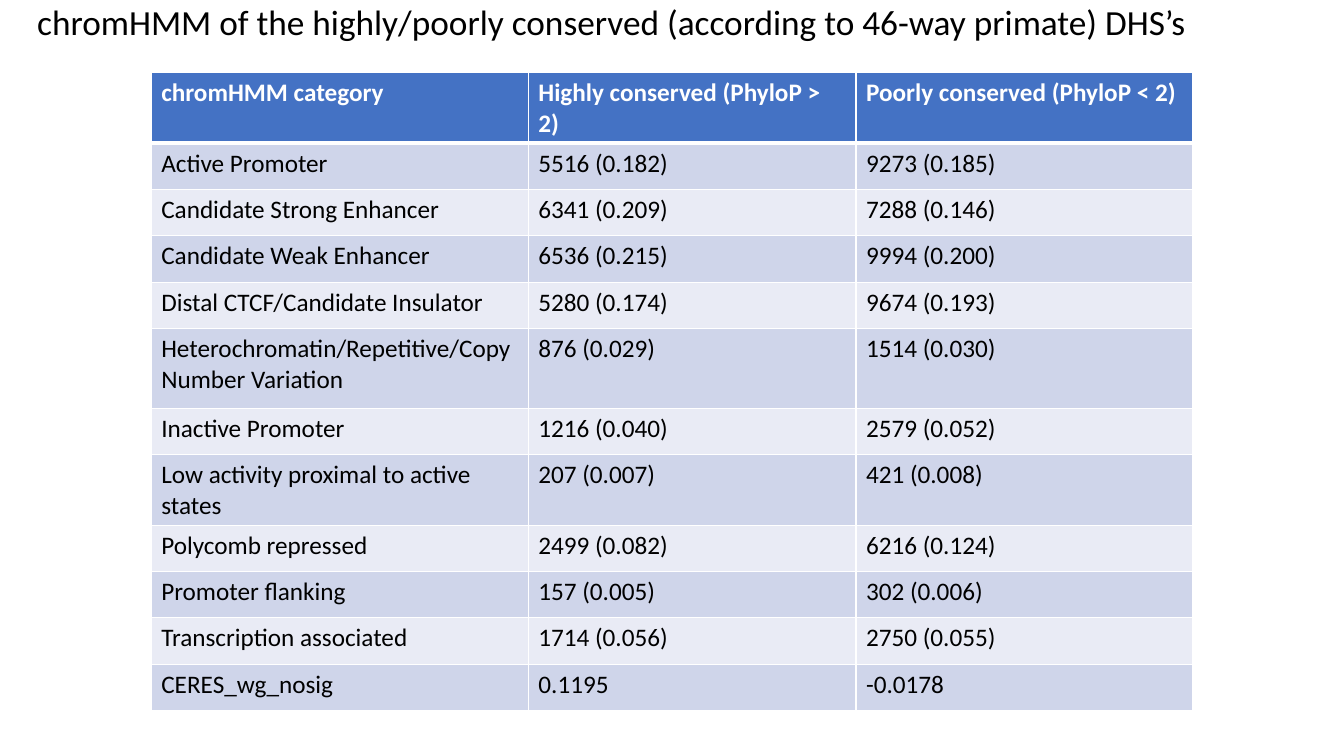
from lxml import etree
from pptx import Presentation
from pptx import util as u
from pptx.dml.color import RGBColor
from pptx.enum import text
from pptx.oxml import ns

TITLE = "chromHMM of the highly/poorly conserved (according to 46-way primate) DHS’s"
CATEGORIES = [
    ("chromHMM category", "Highly conserved (PhyloP > 2)", "Poorly conserved (PhyloP < 2)"),
    ("Active Promoter", "5516 (0.182)", "9273 (0.185)"),
    ("Candidate Strong Enhancer", "6341 (0.209)", "7288 (0.146)"),
    ("Candidate Weak Enhancer", "6536 (0.215)", "9994 (0.200)"),
    ("Distal CTCF/Candidate Insulator", "5280 (0.174)", "9674 (0.193)"),
    ("Heterochromatin/Repetitive/Copy Number Variation", "876 (0.029)", "1514 (0.030)"),
    ("Inactive Promoter", "1216 (0.040)", "2579 (0.052)"),
    ("Low activity proximal to active states", "207 (0.007)", "421 (0.008)"),
    ("Polycomb repressed", "2499 (0.082)", "6216 (0.124)"),
    ("Promoter flanking", "157 (0.005)", "302 (0.006)"),
    ("Transcription associated", "1714 (0.056)", "2750 (0.055)"),
    ("CERES_wg_nosig", "0.1195", "-0.0178"),
]
COLUMN_WIDTHS = [3.74, 3.25, 3.34]
ROW_HEIGHT = 0.46
TALL_ROWS = {5: 0.79}


def color(value):
    return RGBColor.from_string(value)


class ConservationSlide:
    font = "Calibri"
    black = "000000"
    white = "FFFFFF"
    header = "4472C4"
    bands = ("E9EBF5", "CFD5EA")

    def __init__(self, page):
        self.page = page

    def add_span(self, para, words, size, ink, bold=False):
        span = para.add_run()
        span.text = words
        span.font.name = self.font
        span.font.size = u.Pt(size)
        span.font.bold = bold
        span.font.color.rgb = color(ink)

    def title(self, words, left, top, width, height):
        box = self.page.shapes.add_textbox(*map(u.Inches, (left, top, width, height)))
        frame = box.text_frame
        frame.word_wrap = True
        frame.vertical_anchor = text.MSO_ANCHOR.MIDDLE
        para = frame.paragraphs[0]
        para.line_spacing = 0.9
        self.add_span(para, words, 25.2, self.black)

    def borders(self, cell, row):
        properties = cell._tc.get_or_add_tcPr()
        widths = {"L": 1, "R": 1, "T": 3 if row == 1 else 1, "B": 3 if row == 0 else 1}
        for side, width in widths.items():
            line = etree.SubElement(properties, ns.qn(f"a:ln{side}"), w=str(u.Pt(width)))
            fill = etree.SubElement(line, ns.qn("a:solidFill"))
            etree.SubElement(fill, ns.qn("a:srgbClr"), val=self.white)

    def table(self, rows, widths, left, top):
        heights = [TALL_ROWS.get(row, ROW_HEIGHT) for row in range(len(rows))]
        size = (left, top, sum(widths), sum(heights))
        frame = self.page.shapes.add_table(len(rows), len(widths), *map(u.Inches, size))
        table = frame.table
        for column, width in zip(table.columns, widths):
            column.width = u.Inches(width)
        for row, (values, height) in enumerate(zip(rows, heights)):
            table.rows[row].height = u.Inches(height)
            is_header = row == 0
            for column, value in enumerate(values):
                cell = table.cell(row, column)
                self.borders(cell, row)
                cell.fill.solid()
                cell.fill.fore_color.rgb = color(self.header if is_header else self.bands[row % 2])
                ink = self.white if is_header else self.black
                self.add_span(cell.text_frame.paragraphs[0], value, 18, ink, is_header)


def main():
    deck = Presentation()
    deck.slide_width = u.Inches(13.33)
    deck.slide_height = u.Inches(7.5)
    slide = ConservationSlide(deck.slides.add_slide(deck.slide_layouts[6]))
    slide.title(TITLE, 0.27, 0, 12.8, 0.48)
    slide.table(CATEGORIES, COLUMN_WIDTHS, 1.5, 0.72)
    deck.save("out.pptx")


if __name__ == "__main__":
    main()
